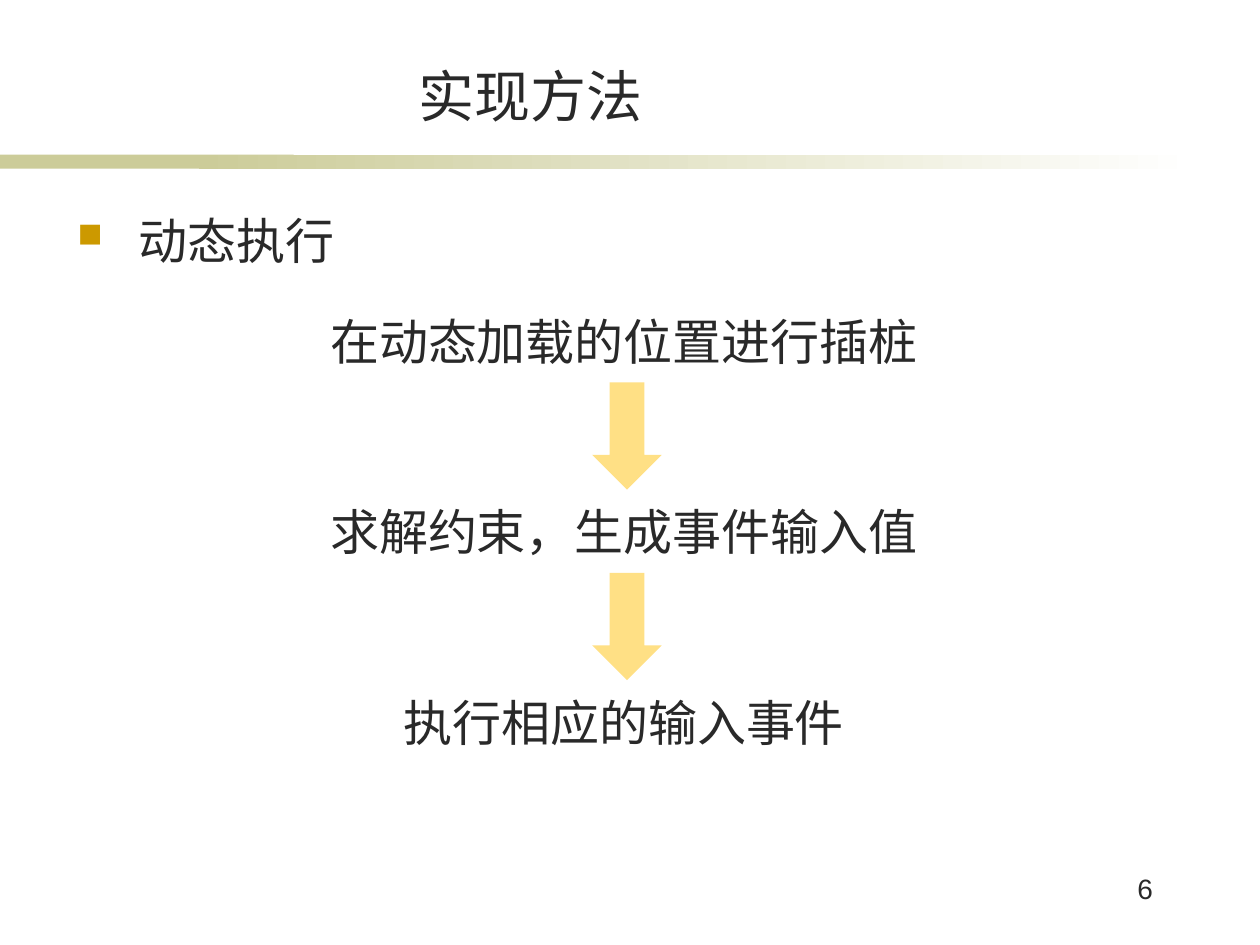
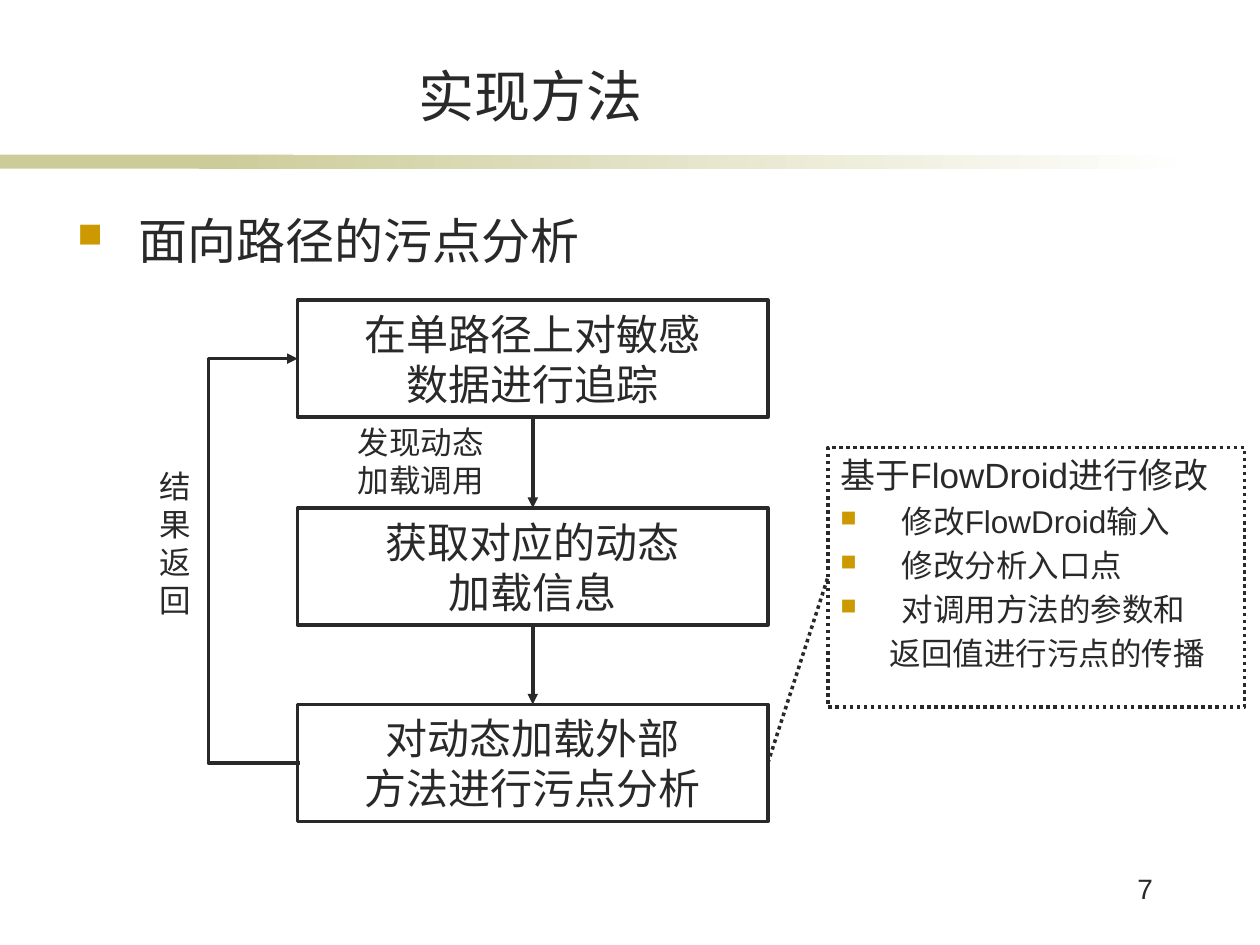
from lxml.etree import SubElement
from pptx import Presentation
from pptx.dml.color import RGBColor
from pptx.enum.dml import MSO_LINE
from pptx.enum.shapes import MSO_CONNECTOR, MSO_SHAPE
from pptx.enum.text import MSO_ANCHOR, PP_ALIGN
from pptx.oxml.ns import qn
from pptx.util import Cm, Pt

INK = RGBColor(0x29, 0x29, 0x29)
OLIVE = RGBColor(0xCC, 0xCC, 0x99)
WHITE = RGBColor(0xFF, 0xFF, 0xFF)
GOLD = RGBColor(0xCC, 0x99, 0x00)
SAND = RGBColor(0xFF, 0xE0, 0x85)
FONT = "Arial"
BULLET_INDENT = 1.24
TOP, LEFT, BOTTOM, RIGHT = range(4)


def add_bullet(para):
    """Give a paragraph a gold square bullet."""
    properties = para._p.get_or_add_pPr()
    color = SubElement(properties, qn("a:buClr"))
    SubElement(color, qn("a:srgbClr"), val=str(GOLD))
    SubElement(properties, qn("a:buSzPct"), val="70000")
    SubElement(properties, qn("a:buChar"), char="■")


def write(frame, text, size=28, align=PP_ALIGN.LEFT, bullet=False, indent=0, before=0):
    """Write text, one paragraph per line, after what the frame already holds."""
    for line in text.split("\n"):
        para = frame.paragraphs[-1]
        if para.runs:
            para = frame.add_paragraph()
        para.alignment = align
        para.space_before = Pt(before)
        properties = para._p.get_or_add_pPr()
        properties.set("marL", str(Cm(BULLET_INDENT if bullet else indent)))
        properties.set("indent", str(Cm(-BULLET_INDENT if bullet else 0)))
        if bullet:
            add_bullet(para)
        span = para.add_run()
        span.text = line
        span.font.name = FONT
        span.font.size = Pt(size)
        span.font.color.rgb = INK
        span._r.get_or_add_rPr().set("lang", "zh-CN")


class Painter:
    """Holds the deck, its style and the current page."""

    def __init__(self):
        """Start an empty deck."""
        self.deck = Presentation()
        self.deck.slide_width = Cm(25.4)
        self.deck.slide_height = Cm(19.05)
        self.page = None

    def start_page(self, title, topic, number):
        """Add a page with its band, title, topic and page number."""
        self.page = self.deck.slides.add_slide(self.deck.slide_layouts[6])
        self.shape(0, 3.12, 5.92, 0.28, fill=OLIVE)
        fade = self.shape(4.01, 3.12, 20.12, 0.28, fill=OLIVE).fill
        fade.gradient()
        fade.gradient_angle = 0
        for stop, color in zip(fade.gradient_stops, (OLIVE, WHITE)):
            stop.color.rgb = color
        self.text(2.9, 1.12, 15.6, 1.6, title, anchor=MSO_ANCHOR.BOTTOM,
                  size=32, align=PP_ALIGN.CENTER)
        self.text(1.31, 4.11, 22.61, 1.6, topic, bullet=True, before=5.6)
        self.text(20.9, 17.45, 2.59, 1.27, str(number), size=16, align=PP_ALIGN.RIGHT)

    def text(self, left, top, width, height, words, anchor=MSO_ANCHOR.TOP, **style):
        """Add a wrapping text box."""
        box = self.page.shapes.add_textbox(Cm(left), Cm(top), Cm(width), Cm(height))
        box.text_frame.word_wrap = True
        box.text_frame.vertical_anchor = anchor
        write(box.text_frame, words, **style)
        return box

    def shape(self, left, top, width, height, kind=MSO_SHAPE.RECTANGLE, fill=None):
        """Add a plain shape without outline."""
        shape = self.page.shapes.add_shape(kind, Cm(left), Cm(top), Cm(width), Cm(height))
        shape.shadow.inherit = False
        shape.line.fill.background()
        if fill is None:
            shape.fill.background()
        else:
            shape.fill.solid()
            shape.fill.fore_color.rgb = fill
        return shape

    def stroke(self, line, dash=None):
        """Apply the shared outline style."""
        line.color.rgb = INK
        line.width = Pt(2)
        if dash:
            line.dash_style = dash

    def frame(self, left, top, width, height, anchor, inset=0.25, dash=None):
        """Add an outlined rectangle that takes text."""
        box = self.shape(left, top, width, height)
        self.stroke(box.line, dash)
        frame = box.text_frame
        frame.word_wrap = True
        frame.vertical_anchor = anchor
        frame.margin_left = frame.margin_right = Cm(inset)
        return box

    def connector(self, kind, ends=(0, 0, 0, 0), arrow=True, dash=None):
        """Add a connector in the shared line style."""
        line = self.page.shapes.add_connector(kind, *(Cm(end) for end in ends))
        self.stroke(line.line, dash)
        if arrow:
            SubElement(line.line._get_or_add_ln(), qn("a:tailEnd"), type="triangle")
        SubElement(line._element.spPr, qn("a:effectLst"))
        return line

    def join(self, start, start_side, end, end_side, **style):
        """Join two rectangles with a straight connector."""
        line = self.connector(MSO_CONNECTOR.STRAIGHT, **style)
        line.begin_connect(start, start_side)
        line.end_connect(end, end_side)

    def loop_back(self, left, top, bottom, reach):
        """Add a bent arrow from bottom to top that reaches out to the left."""
        width = 0.05
        line = self.connector(MSO_CONNECTOR.ELBOW, (left, top, left + width, bottom))
        properties = line._element.spPr
        properties.find(qn("a:xfrm")).set("rot", "10800000")
        guides = properties.find(qn("a:prstGeom")).get_or_add_avLst()
        bend = round((reach + width) / width * 100000)
        SubElement(guides, qn("a:gd"), name="adj1", fmla=f"val {bend}")


def draw_execution(painter):
    """Draw the steps of dynamic execution."""
    painter.start_page("实现方法", "动态执行", 6)
    steps = ["在动态加载的位置进行插桩", "求解约束，生成事件输入值", "执行相应的输入事件"]
    pitch = 3.84
    for index, step in enumerate(steps):
        top = 6.15 + index * pitch
        painter.text(5.97, top, 13.21, 1.45, step, align=PP_ALIGN.CENTER)
        if index < len(steps) - 1:
            painter.shape(11.94, top + 1.56, 1.4, 2.16, MSO_SHAPE.DOWN_ARROW, SAND)


def draw_analysis(painter):
    """Draw the loop of taint analysis and its note."""
    painter.start_page("实现方法", "面向路径的污点分析", 7)
    left, width, height = 6, 9.48, 2.36
    steps = {
        6.05: "在单路径上对敏感数据进行追踪",
        10.24: "获取对应的动态\n加载信息",
        14.2: "对动态加载外部\n方法进行污点分析",
    }
    boxes = []
    for top, step in steps.items():
        box = painter.frame(left, top, width, height, MSO_ANCHOR.MIDDLE, inset=1.07)
        write(box.text_frame, step, size=24, align=PP_ALIGN.CENTER)
        boxes.append(box)
    for upper, lower in zip(boxes, boxes[1:]):
        painter.join(upper, BOTTOM, lower, TOP)
    painter.text(6.43, 8.41, 4.11, 1.8, "发现动态\n加载调用", size=18, align=PP_ALIGN.CENTER)

    first, *_, last = steps
    painter.loop_back(left, first + height / 2, last + height / 2, reach=1.8)
    painter.text(2.97, 9.3, 0.61, 3.33, "结果返回", size=18)

    note = painter.frame(16.69, 9.02, 8.4, 5.23, MSO_ANCHOR.TOP, dash=MSO_LINE.ROUND_DOT)
    write(note.text_frame, "基于FlowDroid进行修改", size=20, before=4)
    write(note.text_frame, "修改FlowDroid输入\n修改分析入口点\n对调用方法的参数和",
          size=18, bullet=True, before=3.6)
    write(note.text_frame, "返回值进行污点的传播", size=18, indent=1, before=3.6)
    painter.join(boxes[-1], RIGHT, note, LEFT, arrow=False, dash=MSO_LINE.ROUND_DOT)


def main():
    """Build and save the deck."""
    painter = Painter()
    draw_execution(painter)
    draw_analysis(painter)
    painter.deck.save("out.pptx")


if __name__ == "__main__":
    main()
